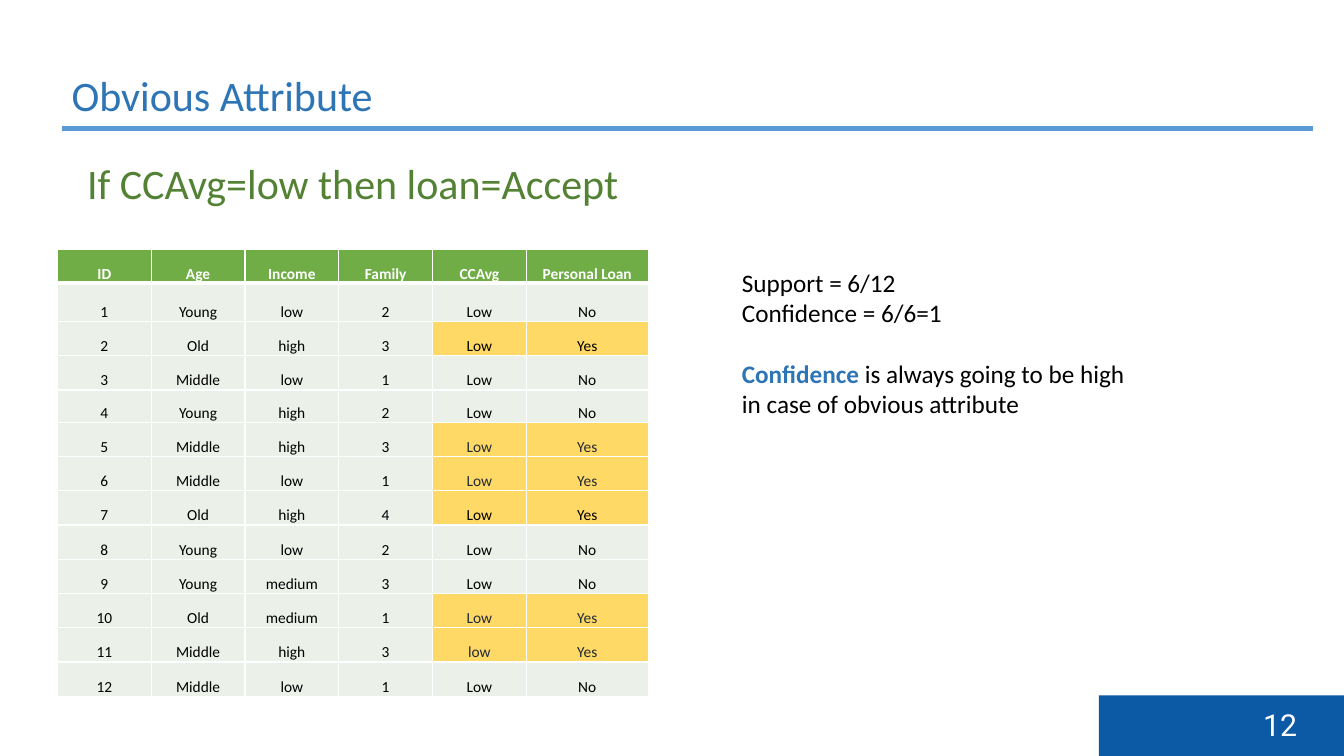
from lxml.etree import SubElement
from pptx import Presentation
from pptx.dml.color import RGBColor as Rgb
from pptx.enum.shapes import MSO_SHAPE as Preset
from pptx.enum.text import MSO_ANCHOR as Anchor, PP_ALIGN as Align
from pptx.oxml.ns import qn
from pptx.util import Inches, Pt

COLOURS = {
    "title": "2E75B6", "rule": "5B9BD5", "badge": "0C5AA5", "claim": "548235",
    "header": "70AD47", "row": "EBF1E9", "match": "FFD966",
    "ink": "000000", "slate": "222A35", "white": "FFFFFF",
}
HEADERS = ("ID", "Age", "Income", "Family", "CCAvg", "Personal Loan")
CUSTOMERS = (
    ("Young", "low", 2, "Low", "No"),
    ("Old", "high", 3, "Low", "Yes"),
    ("Middle", "low", 1, "Low", "No"),
    ("Young", "high", 2, "Low", "No"),
    ("Middle", "high", 3, "Low", "Yes"),
    ("Middle", "low", 1, "Low", "Yes"),
    ("Old", "high", 4, "Low", "Yes"),
    ("Young", "low", 2, "Low", "No"),
    ("Young", "medium", 3, "Low", "No"),
    ("Old", "medium", 1, "Low", "Yes"),
    ("Middle", "high", 3, "low", "Yes"),
    ("Middle", "low", 1, "Low", "No"),
)
BLACK_MATCHES = (2, 7)
COLUMN_WIDTHS = (0.93,) * 5 + (1.21,)
ROW_HEIGHTS = (0.34, 0.38, 0.34, 0.34, 0.32) + (0.34,) * 8


def colour(name):
    return Rgb.from_string(COLOURS[name])


def apply(target, formats):
    for name, value in formats.items():
        setattr(target, name, value)


class SlideBuilder:
    def __init__(self, slide, font="Calibri"):
        self.slide = slide
        self.font = font

    def add_span(self, para, text, size, ink, **formats):
        span = para.add_run()
        span.text = text
        apply(span.font, {"name": self.font, "size": Pt(size), "bold": False, **formats})
        span.font.color.rgb = colour(ink)

    def title(self, text, area, size, ink):
        box = self.slide.shapes.title
        apply(box, dict(zip(("left", "top", "width", "height"), map(Inches, area))))
        apply(box.text_frame, {"word_wrap": True, "vertical_anchor": Anchor.TOP})
        para = box.text_frame.paragraphs[0]
        para.alignment = Align.LEFT
        self.add_span(para, text, size, ink)

    def bar(self, area, fill, line=None):
        bar = self.slide.shapes.add_shape(Preset.RECTANGLE, *map(Inches, area))
        bar.shadow.inherit = False
        bar.fill.solid()
        bar.fill.fore_color.rgb = colour(fill)
        if line:
            bar.line.color.rgb = colour(line)
            bar.line.width = Pt(1)
        else:
            bar.line.fill.background()

    def text(self, area, paragraphs):
        """Add a text box; each paragraph is (formats, spans)."""
        box = self.slide.shapes.add_textbox(*map(Inches, area))
        frame = box.text_frame
        frame.word_wrap = True
        for index, (formats, spans) in enumerate(paragraphs):
            para = frame.add_paragraph() if index else frame.paragraphs[0]
            apply(para, formats)
            for text, size, ink, font in spans:
                self.add_span(para, text, size, ink, **font)

    def borders(self, cell, bottom):
        properties = cell._tc.get_or_add_tcPr()
        for side, points in (("L", 1), ("R", 1), ("T", 1), ("B", bottom)):
            line = SubElement(properties, qn(f"a:ln{side}"), w=str(Pt(points)))
            fill = SubElement(line, qn("a:solidFill"))
            SubElement(fill, qn("a:srgbClr"), val=COLOURS["white"])

    def cell(self, cell, text, fill, ink, bold=False, bottom=1):
        margin = Inches(0.01)
        apply(cell, {"margin_left": margin, "margin_right": margin, "margin_top": margin,
                     "margin_bottom": 0, "vertical_anchor": Anchor.BOTTOM})
        self.borders(cell, bottom)
        cell.fill.solid()
        cell.fill.fore_color.rgb = colour(fill)
        para = cell.text_frame.paragraphs[0]
        para.alignment = Align.CENTER
        self.add_span(para, text, 11, ink, bold=bold)

    def customer_table(self, left, top):
        area = (left, top, sum(COLUMN_WIDTHS), sum(ROW_HEIGHTS))
        table = self.slide.shapes.add_table(
            len(ROW_HEIGHTS), len(COLUMN_WIDTHS), *map(Inches, area)).table
        for column, width in zip(table.columns, COLUMN_WIDTHS):
            column.width = Inches(width)
        for row, height in zip(table.rows, ROW_HEIGHTS):
            row.height = Inches(height)
        for column, text in enumerate(HEADERS):
            self.cell(table.cell(0, column), text, "header", "white", bold=True, bottom=3)
        for number, customer in enumerate(CUSTOMERS, 1):
            accepted = customer[-1] == "Yes"
            for column, value in enumerate((number, *customer)):
                match = accepted and column >= HEADERS.index("CCAvg")
                fill = "match" if match else "row"
                ink = "slate" if match and number not in BLACK_MATCHES else "ink"
                self.cell(table.cell(number, column), str(value), fill, ink)


def main():
    deck = Presentation()
    deck.slide_width, deck.slide_height = Inches(13.33), Inches(7.5)
    page = SlideBuilder(deck.slides.add_slide(deck.slide_layouts[5]))

    page.title("Obvious Attribute", (0.61, 0.64, 3.24, 0.61), 30, "title")
    page.bar((10.9, 6.9, 2.43, 0.6), "badge")
    page.text((12.43, 6.96, 0.6, 0.46),
              [({}, [("12", 21.6, "white", {"name": "Roboto"})])])
    page.bar((0.61, 1.24, 12.42, 0.07), "rule", line="white")
    page.customer_table(0.57, 2.47)
    page.text((0.57, 1.51, 5.86, 0.61), [
        ({"alignment": Align.CENTER}, [("If CCAvg=low then loan=Accept", 30, "claim", {})]),
    ])
    page.text((7.26, 2.6, 4.07, 1.62), [
        ({}, [("Support = 6/12", 18, "ink", {})]),
        ({}, [("Confidence = 6/6=1", 18, "ink", {})]),
        ({"space_before": Pt(22)}, [
            ("Confidence", 18, "title", {"bold": True}),
            (" is always going to be high in case of obvious attribute", 18, "ink", {}),
        ]),
    ])
    deck.save("out.pptx")


if __name__ == "__main__":
    main()
